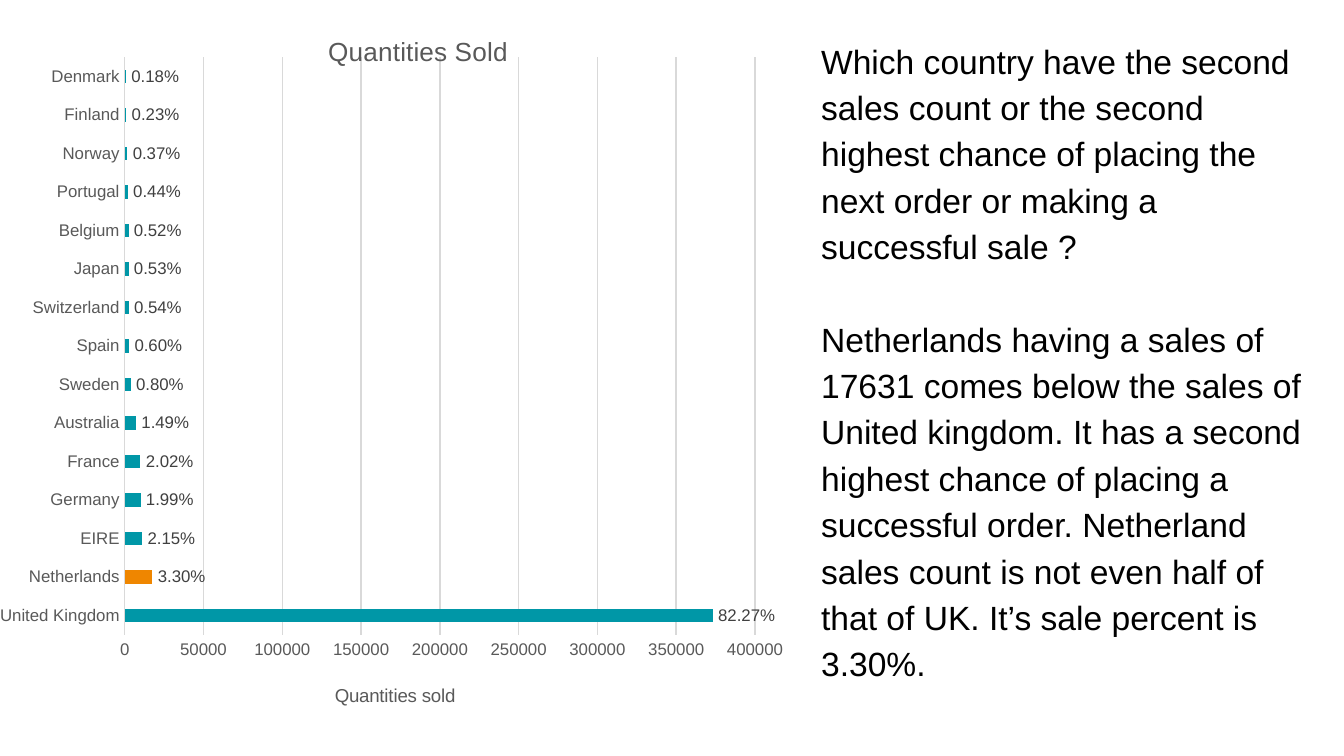
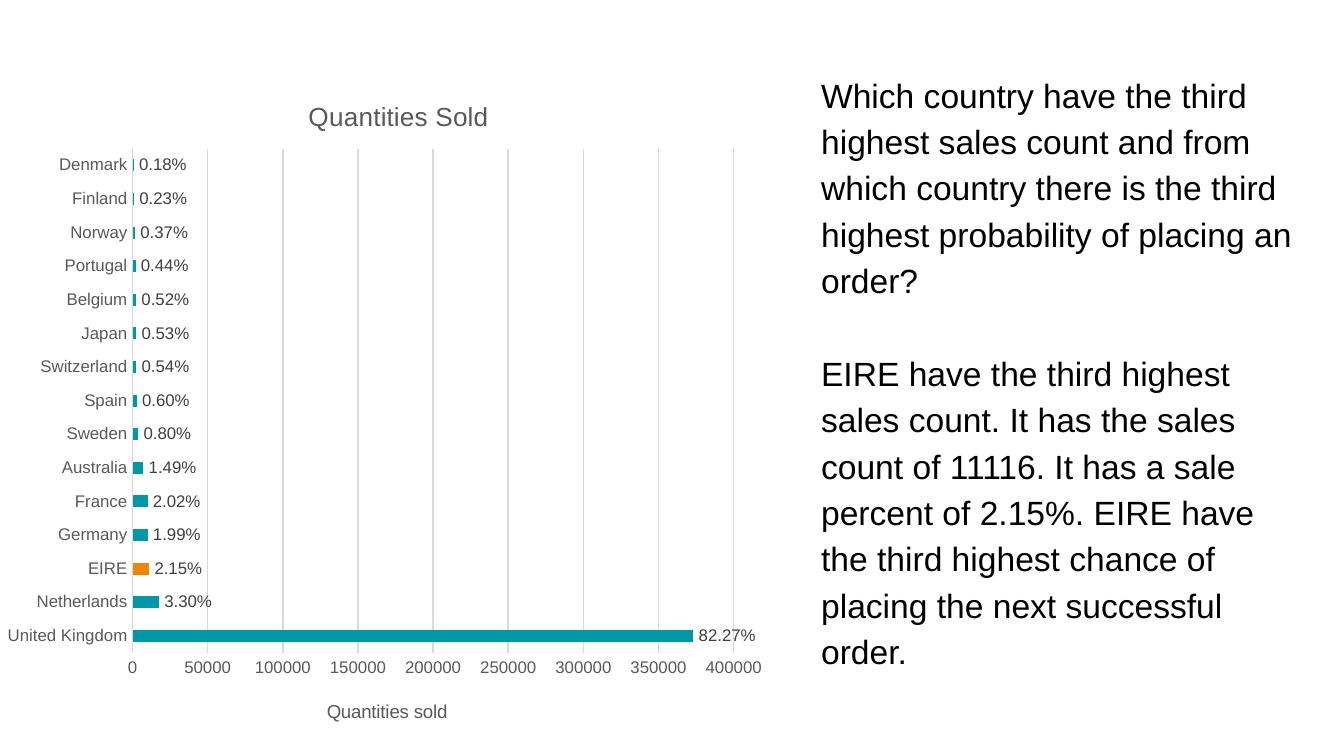
"""Build two slides on quantities sold per country."""
from pptx import Presentation
from pptx.chart.data import CategoryChartData
from pptx.dml.color import RGBColor as Rgb
from pptx.enum.chart import XL_CHART_TYPE as ChartType
from pptx.enum.chart import XL_LABEL_POSITION as LabelPosition
from pptx.enum.chart import XL_TICK_MARK as TickMark
from pptx.oxml import parse_xml
from pptx.oxml.ns import nsdecls, qn
from pptx.util import Inches, Pt

WIDTH, HEIGHT = Inches(10), Inches(5.625)
FONT = "Arial"
BLACK = Rgb(0x00, 0x00, 0x00)
LABEL_GREY = Rgb(0x40, 0x40, 0x40)
TEXT_GREY = Rgb(0x59, 0x59, 0x59)
GRID_GREY = Rgb(0xD9, 0xD9, 0xD9)
TEAL = Rgb(0x00, 0x97, 0xA7)
ORANGE = Rgb(0xEF, 0x86, 0x00)

SALES = [
    ("United Kingdom", 373260, "82.27%"),
    ("Netherlands", 17631, "3.30%"),
    ("EIRE", 11116, "2.15%"),
    ("Germany", 10080, "1.99%"),
    ("France", 9986, "2.02%"),
    ("Australia", 7231, "1.49%"),
    ("Sweden", 3807, "0.80%"),
    ("Spain", 2844, "0.60%"),
    ("Switzerland", 2528, "0.54%"),
    ("Japan", 2504, "0.53%"),
    ("Belgium", 2426, "0.52%"),
    ("Portugal", 2038, "0.44%"),
    ("Norway", 1721, "0.37%"),
    ("Finland", 1050, "0.23%"),
    ("Denmark", 841, "0.18%"),
]

PAGES = [
    {
        "country": "Netherlands",
        "question": "Which country have the second sales count or the second "
                    "highest chance of placing the next order or making a "
                    "successful sale ?",
        "answer": "Netherlands having a sales of 17631 comes below the sales "
                  "of United kingdom. It has a second highest chance of "
                  "placing a successful order. Netherland sales count is not "
                  "even half of that of UK. It’s sale percent is 3.30%.",
        "text_box": (0.586, 0.028, 0.393, 0.788),
        "chart_box": (0, 0, 0.616, 1),
        "plot": (0.15, 0.076, 0.762, 0.764),
        "heading_at": (0.39, 0.04),
        "caption_at": (0.4, 0.9),
    },
    {
        "country": "EIRE",
        "question": "Which country have the third highest sales count and "
                    "from which country there is the third highest "
                    "probability of placing an order?",
        "answer": "EIRE have the third highest sales count. It has the sales "
                  "count of 11116. It has a sale percent of 2.15%. EIRE have "
                  "the third highest chance of placing the next successful "
                  "order.",
        "text_box": (0.586, 0.073, 0.39, 0.811),
        "chart_box": (0, 0.091, 0.587, 0.873),
        "plot": (0.168, 0.121, 0.762, 0.764),
        "heading_at": (0.385, 0.04),
        "caption_at": (0.41, 0.95),
    },
]


def to_slide(box):
    """Turn shares of the slide into lengths."""
    return [round(share * side) for share, side in zip(box, (WIDTH, HEIGHT) * 2)]


def style_font(font, size, color):
    """Apply the shared typeface with a size and colour."""
    font.name, font.size, font.bold = FONT, Pt(size), False
    font.color.rgb = color


def write(paragraph, text, size=18, color=BLACK, spacing=None, before=None):
    """Put one formatted run into a paragraph."""
    run = paragraph.add_run()
    run.text = text
    style_font(run.font, size, color)
    if spacing:
        paragraph.line_spacing = spacing
    if before:
        paragraph.space_before = Pt(before)


def add_commentary(slide, box, question, answer):
    """Add the question with its answer one line below."""
    frame = slide.shapes.add_textbox(*to_slide(box)).text_frame
    frame.word_wrap = True
    frame.margin_left = Inches(0.25)
    frame.margin_right = frame.margin_top = frame.margin_bottom = Inches(0.1)
    write(frame.paragraphs[0], question, spacing=1.15)
    write(frame.add_paragraph(), answer, spacing=1.15, before=24.8)


def set_layout(part, index, shares):
    """Fix a chart part at shares of the chart's size."""
    former = part.find(qn("c:layout"))
    if former is not None:
        part.remove(former)
    target = '<c:layoutTarget val="inner"/>' if len(shares) == 4 else ""
    modes = '<c:xMode val="edge"/><c:yMode val="edge"/>'
    values = "".join(f'<c:{key} val="{share}"/>' for key, share in zip("xywh", shares))
    part.insert(index, parse_xml(
        f'<c:layout {nsdecls("c")}><c:manualLayout>{target}{modes}{values}'
        '</c:manualLayout></c:layout>'))


def add_chart_text(holder, text, size, corner):
    """Write a chart or axis title at a fixed corner."""
    write(holder.text_frame.paragraphs[0], text, size=size, color=TEXT_GREY)
    set_layout(holder._element, 1, corner)


def style_axis(axis):
    """Give an axis its font and remove its tick marks."""
    axis.major_tick_mark = axis.minor_tick_mark = TickMark.NONE
    style_font(axis.tick_labels.font, 9, TEXT_GREY)


def style_line(line):
    """Draw a thin grey line."""
    line.color.rgb = GRID_GREY
    line.width = Pt(0.75)


def style_bars(plot, country):
    """Colour the bars and label each with its percentage."""
    plot.gap_width = 182
    plot.vary_by_categories = False
    series = plot.series[0]
    series.invert_if_negative = False
    series.format.fill.solid()
    series.format.fill.fore_color.rgb = TEAL
    for index, (name, _, percent) in enumerate(SALES):
        point = series.points[index]
        if name == country:
            point.format.fill.solid()
            point.format.fill.fore_color.rgb = ORANGE
        label = point.data_label
        write(label.text_frame.paragraphs[0], percent, size=9, color=LABEL_GREY)
        label.position = LabelPosition.OUTSIDE_END
    labels = series.data_labels
    labels.show_value = True
    style_font(labels.font, 9, LABEL_GREY)


def add_sales_chart(slide, box, country, plot, heading_at, caption_at):
    """Add the bar chart with one country highlighted."""
    data = CategoryChartData(number_format="General")
    data.categories = [name for name, _, _ in SALES]
    data.add_series("Quantities Sold", [count for _, count, _ in SALES])
    chart = slide.shapes.add_chart(
        ChartType.BAR_CLUSTERED, *to_slide(box), data).chart
    style_font(chart.font, 10, BLACK)
    chart.has_legend = False
    chart.has_title = True
    add_chart_text(chart.chart_title, "Quantities Sold", 14, heading_at)

    countries, quantities = chart.category_axis, chart.value_axis
    for axis in (countries, quantities):
        style_axis(axis)
    style_line(countries.format.line)
    countries.has_major_gridlines = False
    quantities.minimum_scale, quantities.maximum_scale = 0, 400000
    quantities.major_unit = 50000
    quantities.format.line.fill.background()
    quantities.has_major_gridlines = True
    style_line(quantities.major_gridlines.format.line)
    add_chart_text(quantities.axis_title, "Quantities sold", 10, caption_at)

    style_bars(chart.plots[0], country)
    chart_part = chart._chartSpace.find(qn("c:chart"))
    set_layout(chart_part.find(qn("c:plotArea")), 0, plot)
    chart_part.addnext(parse_xml(
        f'<c:spPr {nsdecls("c", "a")}><a:noFill/><a:ln><a:noFill/></a:ln></c:spPr>'))


def main():
    """Build and save the slides."""
    deck = Presentation()
    deck.slide_width, deck.slide_height = WIDTH, HEIGHT
    blank = deck.slide_layouts.get_by_name("Blank")
    for page in PAGES:
        slide = deck.slides.add_slide(blank)
        add_commentary(slide, page["text_box"], page["question"], page["answer"])
        add_sales_chart(slide, page["chart_box"], page["country"], page["plot"],
                        page["heading_at"], page["caption_at"])
    deck.save("out.pptx")


if __name__ == "__main__":
    main()
